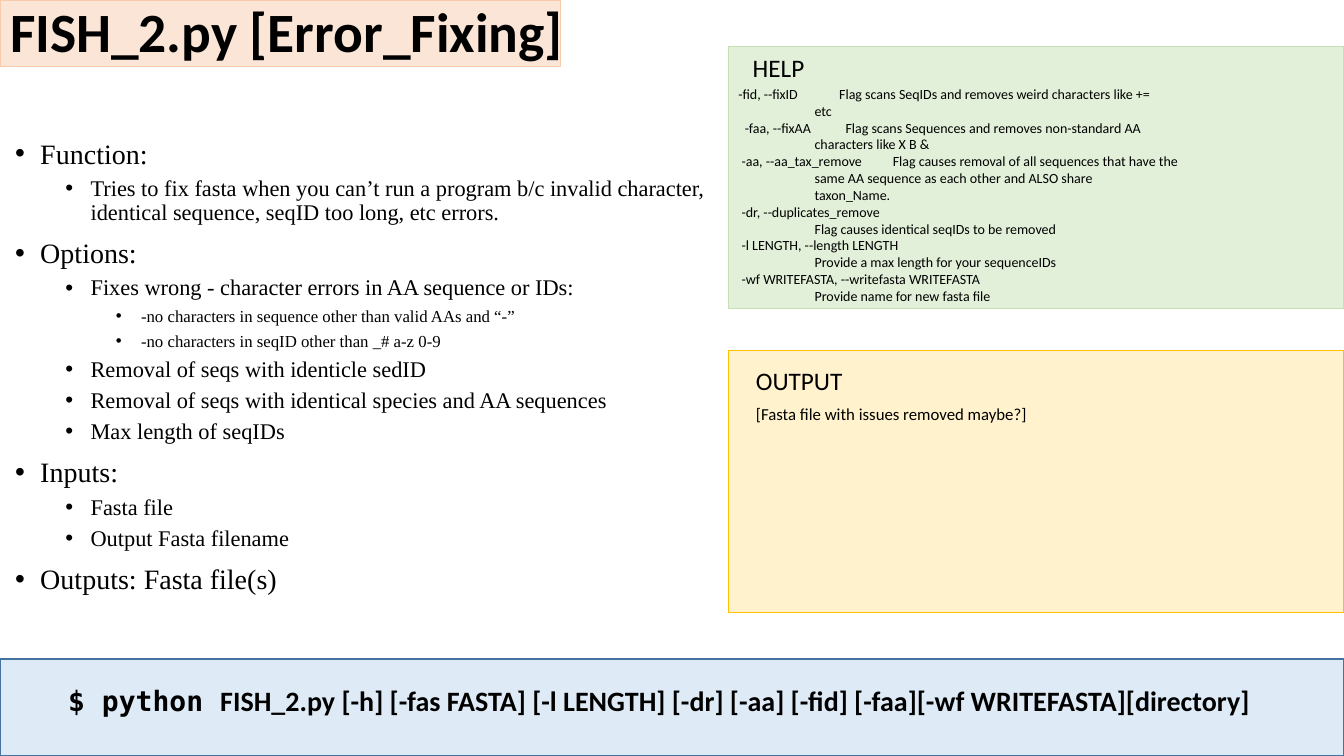
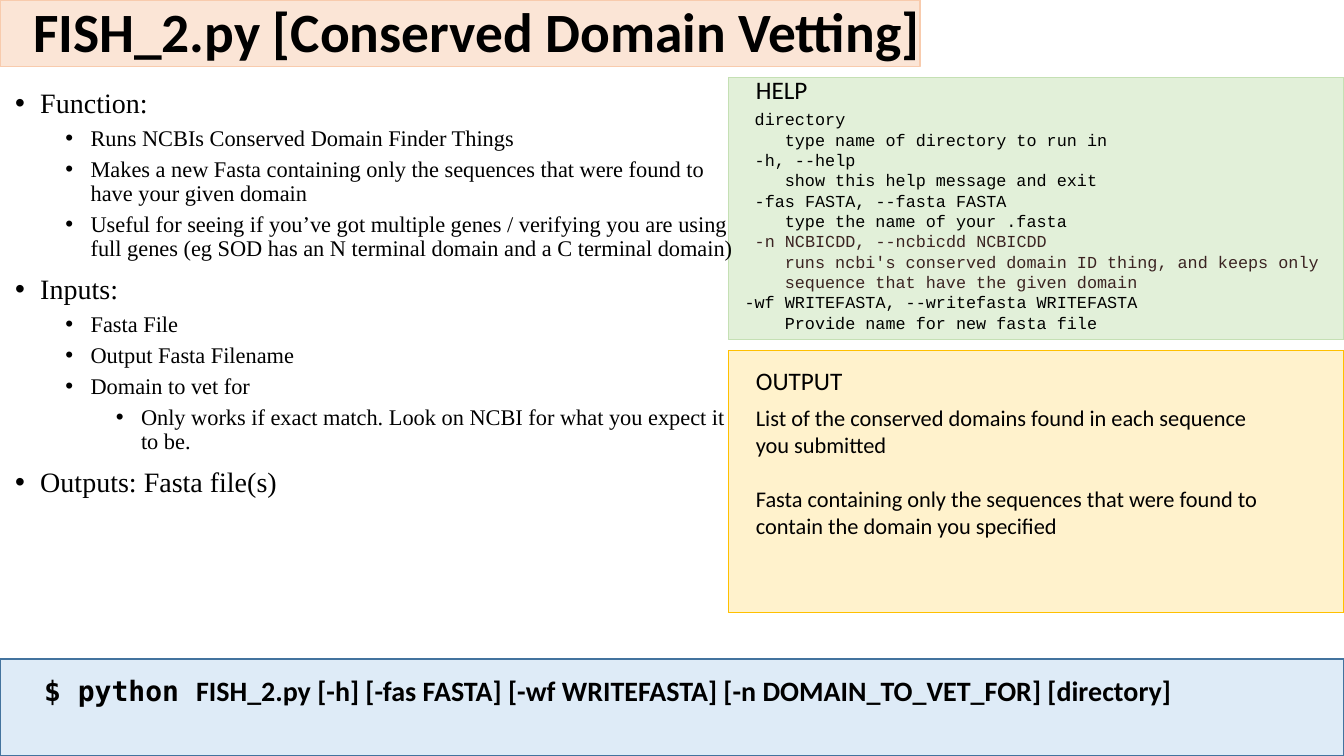
from typing import NamedTuple

import pptx
import pptx.dml.color
import pptx.enum.shapes
import pptx.enum.text
import pptx.oxml.ns
import pptx.util
from lxml import etree

Cm, Pt = pptx.util.Cm, pptx.util.Pt
RGBColor = pptx.dml.color.RGBColor
Anchor = pptx.enum.text.MSO_ANCHOR

BLACK = RGBColor(0x00, 0x00, 0x00)
BROWN = RGBColor(0x3B, 0x23, 0x22)
# Fill and line of each kind of band
PEACH = RGBColor(0xFB, 0xE5, 0xD6), RGBColor(0xF8, 0xCB, 0xAD)
GREEN = RGBColor(0xE2, 0xF0, 0xD9), RGBColor(0xC5, 0xE0, 0xB4)
GOLD = RGBColor(0xFF, 0xF2, 0xCC), RGBColor(0xFF, 0xC0, 0x00)
BLUE = RGBColor(0xDE, 0xEB, 0xF7), RGBColor(0x43, 0x73, 0x9E)

SANS, SERIF = "Calibri", "Times New Roman"
MONO, CODE = "DejaVu Sans Mono", "Courier New"

WIDE, HIGH = 33.87, 19.05
SIDE = 18.36            # left edge of the right-hand panels
PANEL = WIDE - SIDE, 6.6
STEP = 1.27             # indent of one bullet level
HANG = STEP / 2


class Line(NamedTuple):
    text: str
    left: float = 0
    tab: float = 0
    ink: RGBColor = BLACK


def apply(target, **values):
    for name, value in values.items():
        setattr(target, name, value)


def add_run(para, text, size, face=SANS, ink=BLACK, bold=False):
    run = para.add_run()
    run.text = text
    apply(run.font, size=Pt(size), name=face, bold=bold)
    run.font.color.rgb = ink


def add_tag(parent, tag, **values):
    return etree.SubElement(parent, pptx.oxml.ns.qn(tag), values)


def set_left(para, left, hang=0):
    """Indent a paragraph and return its properties element."""
    props = para._p.get_or_add_pPr()
    props.set("marL", str(Cm(left)))
    props.set("indent", str(-Cm(hang)))
    return props


def add_band(slide, left, top, width, height, paint):
    band = slide.shapes.add_shape(
        pptx.enum.shapes.MSO_SHAPE.RECTANGLE,
        Cm(left), Cm(top), Cm(width), Cm(height))
    band.shadow.inherit = False
    band.fill.solid()
    band.fill.fore_color.rgb, band.line.color.rgb = paint
    band.line.width = Pt(1)


def add_frame(slide, left, top, width, height):
    frame = slide.shapes.add_textbox(
        Cm(left), Cm(top), Cm(width), Cm(height)).text_frame
    frame.word_wrap = True
    return frame


def add_paras(frame, items):
    """Yield each item with a paragraph for it."""
    for pos, item in enumerate(items):
        yield item, frame.add_paragraph() if pos else frame.paragraphs[0]


def add_title(slide, text, left, width):
    add_band(slide, 0, 0, width, 1.68, PEACH)
    title = slide.shapes.title
    title.element.getparent().append(title.element)  # in front of its band
    apply(title, left=Cm(left), top=Cm(0.1), width=Cm(width + 1), height=Cm(1.55))
    frame = title.text_frame
    apply(frame, vertical_anchor=Anchor.MIDDLE, word_wrap=True,
          auto_size=pptx.enum.text.MSO_AUTO_SIZE.NONE)
    para = frame.paragraphs[0]
    apply(para, alignment=pptx.enum.text.PP_ALIGN.LEFT, line_spacing=0.9)
    add_run(para, text, 39.6, bold=True)


def add_bullets(slide, top, items, sizes):
    """Write (level, text) items, with one text size per level."""
    frame = add_frame(slide, 0.13, top, 18.64, 14.43)
    for (level, text), para in add_paras(frame, items):
        apply(para, level=level, line_spacing=0.9,
              space_before=Pt(5 if level else 10))
        props = set_left(para, HANG + level * STEP, HANG)
        add_tag(props, "a:buFont", typeface="Arial")
        add_tag(props, "a:buChar", char="•")
        add_run(para, text, sizes[level])


    for para in frame.paragraphs:
        para.runs[0].font.name = SERIF


def add_lines(slide, box, lines, size, face=SANS, **spacing):
    frame = add_frame(slide, *box)
    for line, para in add_paras(frame, lines):
        apply(para, **spacing)
        props = set_left(para, line.left)
        if line.tab:
            stops = add_tag(props, "a:tabLst")
            add_tag(stops, "a:tab", pos=str(Cm(line.tab)), algn="l")
        add_run(para, line.text, size, face, line.ink)


def add_panels(slide, help_top, head_left, head_top):
    add_band(slide, SIDE, help_top, *PANEL, GREEN)
    add_band(slide, SIDE, 8.84, *PANEL, GOLD)
    for text, left, top in (("HELP", head_left, head_top), ("OUTPUT", 18.8, 9.07)):
        add_lines(slide, (left, top, 13.23, 1.02), [Line(text)], 18)


def add_command(slide, left, top, text):
    add_band(slide, 0, 16.61, WIDE, HIGH - 16.61, BLUE)
    para = add_frame(slide, left, top, 31.14, 1.12).paragraphs[0]
    add_run(para, "$ python ", 20, MONO, bold=True)
    add_run(para, text, 20, bold=True)


def fixing_slide(slide):
    add_title(slide, "FISH_2.py [Error_Fixing]", 0, 14.12)
    add_bullets(slide, 3.4, [
        (0, "Function:"),
        (1, "Tries to fix fasta when you can’t run a program b/c invalid "
            "character, identical sequence, seqID too long, etc errors."),
        (0, "Options:"),
        (1, "Fixes wrong - character errors in AA sequence or IDs:"),
        (2, "-no characters in sequence other than valid AAs and “-”"),
        (2, "-no characters in seqID other than _# a-z 0-9"),
        (1, "Removal of seqs with identicle sedID"),
        (1, "Removal of seqs with identical species and AA sequences"),
        (1, "Max length of seqIDs"),
        (0, "Inputs:"),
        (1, "Fasta file"),
        (1, "Output Fasta filename"),
        (0, "Outputs: Fasta file(s)"),
    ], (20, 16, 12))
    add_panels(slide, 1.17, 18.72, 1.19)
    flag, note = 0.08, 1.92
    add_lines(slide, (SIDE, 2.03, WIDE - SIDE, 5.82), [
        Line("-fid, --fixID\tFlag scans SeqIDs and removes weird characters like +=",
             tab=2.22),
        Line("etc", note),
        Line("-faa, --fixAA\tFlag scans Sequences and removes non-standard AA",
             2 * flag, 2.54),
        Line("characters like X B &", note),
        Line("-aa, --aa_tax_remove\tFlag causes removal of all sequences that have the",
             flag, 3.26),
        Line("same AA sequence as each other and ALSO share", note),
        Line("taxon_Name.", note),
        Line("-dr, --duplicates_remove", flag),
        Line("Flag causes identical seqIDs to be removed", note),
        Line("-l LENGTH, --length LENGTH", flag),
        Line("Provide a max length for your sequenceIDs", note),
        Line("-wf WRITEFASTA, --writefasta WRITEFASTA", flag),
        Line("Provide name for new fasta file", note),
    ], 10)
    add_lines(slide, (18.8, 10.06, 13.23, 0.77),
              [Line("[Fasta file with issues removed maybe?]")], 12)
    add_command(slide, 1.47, 17.1,
                "FISH_2.py [-h] [-fas FASTA] [-l LENGTH] [-dr] [-aa] [-fid] "
                "[-faa][-wf WRITEFASTA][directory]")


def vetting_slide(slide):
    add_title(slide, "FISH_2.py [Conserved Domain Vetting]", 0.58, 23.19)
    add_panels(slide, 1.96, 18.8, 1.75)
    add_bullets(slide, 2.13, [
        (0, "Function:"),
        (1, "Runs NCBIs Conserved Domain Finder Things"),
        (1, "Makes a new Fasta containing only the sequences that were found "
            "to have your given domain"),
        (1, "Useful for seeing if you’ve got multiple genes / verifying you are "
            "using full genes (eg SOD has an N terminal domain and a C terminal "
            "domain)"),
        (0, "Inputs:"),
        (1, "Fasta File"),
        (1, "Output Fasta Filename"),
        (1, "Domain to vet for"),
        (2, "Only works if exact match. Look on NCBI for what you expect it to be."),
        (0, "Outputs: Fasta file(s)"),
    ], (20, 16, 16))
    flag, note = 0.51, 1.27
    add_lines(slide, (18.26, 2.62, WIDE - 18.26, 5.89), [
        Line("directory", flag),
        Line("type name of directory to run in", note),
        Line("-h, --help", flag),
        Line("show this help message and exit", note),
        Line("-fas FASTA, --fasta FASTA", flag),
        Line("type the name of your .fasta", note),
        Line("-n NCBICDD, --ncbicdd NCBICDD", flag, ink=BROWN),
        Line("runs ncbi's conserved domain ID thing, and keeps only", note, ink=BROWN),
        Line("sequence that have the given domain", note, ink=BROWN),
        Line("-wf WRITEFASTA, --writefasta WRITEFASTA", flag / 2),
        Line("Provide name for new fasta file", note),
    ], 12, CODE, line_spacing=Pt(14.5))
    add_lines(slide, (18.8, 10.06, 13.23, 3.68), [
        Line("List of the conserved domains found in each sequence you submitted"),
        Line("Fasta containing only the sequences that were found to contain "
             "the domain you specified"),
    ], 16, space_before=Pt(19.5))
    add_command(slide, 0.86, 16.84,
                "FISH_2.py [-h] [-fas FASTA] [-wf WRITEFASTA] "
                "[-n DOMAIN_TO_VET_FOR] [directory]")


def main():
    deck = pptx.Presentation()
    apply(deck, slide_width=Cm(WIDE), slide_height=Cm(HIGH))
    plain = deck.slide_layouts.get_by_name("Title Only")
    for build in (fixing_slide, vetting_slide):
        build(deck.slides.add_slide(plain))
    deck.save("out.pptx")


if __name__ == "__main__":
    main()
